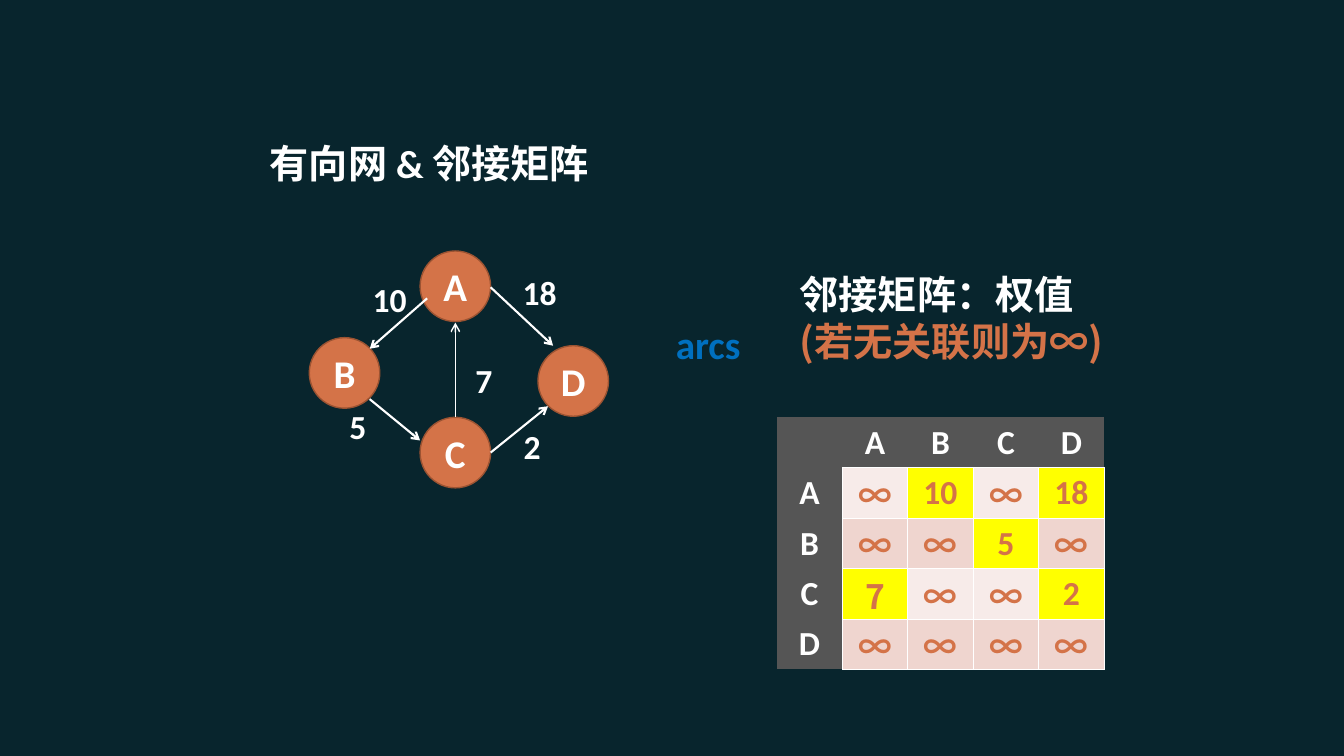
import lxml.etree
import pptx
import pptx.dml.color
import pptx.enum.shapes
import pptx.enum.text
import pptx.oxml.ns
import pptx.util

Inches = pptx.util.Inches
Pt = pptx.util.Pt
RGBColor = pptx.dml.color.RGBColor
qn = pptx.oxml.ns.qn
ALIGN = pptx.enum.text.PP_ALIGN

NIGHT = RGBColor(0x08, 0x25, 0x2D)
WHITE = RGBColor(0xFF, 0xFF, 0xFF)
ORANGE = RGBColor(0xD4, 0x73, 0x48)
BROWN = RGBColor(0x9B, 0x53, 0x32)
BLUE = RGBColor(0x00, 0x70, 0xC0)
GREY = RGBColor(0x55, 0x55, 0x55)
YELLOW = RGBColor(0xFF, 0xFF, 0x00)
PALE = RGBColor(0xF7, 0xEB, 0xE9)
PINK = RGBColor(0xEF, 0xD5, 0xCF)
LATIN = "Calibri"
CJK = "Noto Sans CJK SC"


def write(paragraph, text, size=24, color=WHITE, font=LATIN, align=ALIGN.LEFT, spacing=None):
    paragraph.alignment = align
    if spacing:
        paragraph.line_spacing = Pt(spacing)
    run = paragraph.add_run()
    run.text = text
    run.font.size = Pt(size)
    run.font.bold = True
    run.font.color.rgb = color
    run.font.name = font
    lxml.etree.SubElement(run.font._element, qn("a:ea"), typeface=font)


presentation = pptx.Presentation()
presentation.slide_width = Inches(13.34)
presentation.slide_height = Inches(7.5)
slide = presentation.slides.add_slide(presentation.slide_layouts[6])
slide.background.fill.solid()
slide.background.fill.fore_color.rgb = NIGHT

for name, left, top in [("B", 3.07, 3.35), ("A", 4.17, 2.49), ("C", 4.17, 4.14), ("D", 5.34, 3.43)]:
    vertex = slide.shapes.add_shape(
        pptx.enum.shapes.MSO_SHAPE.OVAL, Inches(left), Inches(top), Inches(0.7), Inches(0.7))
    vertex.shadow.inherit = False
    vertex.fill.solid()
    vertex.fill.fore_color.rgb = ORANGE
    vertex.line.color.rgb = BROWN
    vertex.line.width = Pt(1)
    vertex.text_frame.vertical_anchor = pptx.enum.text.MSO_ANCHOR.MIDDLE
    write(vertex.text_frame.paragraphs[0], name, size=28, align=ALIGN.CENTER)

arcs = [
    (4.87, 2.85, 5.49, 3.43, 1.5),
    (4.87, 4.49, 5.44, 4.03, 1.5),
    (3.67, 3.96, 4.17, 4.37, 1.5),
    (4.24, 2.96, 3.67, 3.46, 1.5),
    (4.52, 4.14, 4.52, 3.2, 1),
]
for x1, y1, x2, y2, weight in arcs:
    arc = slide.shapes.add_connector(
        pptx.enum.shapes.MSO_CONNECTOR.STRAIGHT, Inches(x1), Inches(y1), Inches(x2), Inches(y2))
    arc.line.color.rgb = WHITE
    arc.line.width = Pt(weight)
    lxml.etree.SubElement(arc.line._get_or_add_ln(), qn("a:tailEnd"), type="arrow")
    lxml.etree.SubElement(arc._element.spPr, qn("a:effectLst"))

labels = [
    ("10", 3.6, 2.72, 0.58, 0.5, 24, WHITE),
    ("5", 3.37, 3.98, 0.39, 0.5, 24, WHITE),
    ("18", 5.09, 2.65, 0.58, 0.5, 24, WHITE),
    ("2", 5.1, 4.18, 0.39, 0.5, 24, WHITE),
    ("7", 4.62, 3.52, 0.39, 0.5, 24, WHITE),
    ("有向网 & 邻接矩阵", 2.58, 1.33, 3.58, 0.57, 28, WHITE),
    ("arcs", 6.61, 3.13, 1, 0.57, 28, BLUE),
]
for text, left, top, width, height, size, color in labels:
    label = slide.shapes.add_textbox(Inches(left), Inches(top), Inches(width), Inches(height))
    label.text_frame.word_wrap = False
    write(label.text_frame.paragraphs[0], text, size=size, color=color)

explanation = slide.shapes.add_textbox(Inches(7.84), Inches(2.63), Inches(3.44), Inches(1.05))
explanation.text_frame.word_wrap = True
write(explanation.text_frame.paragraphs[0], "邻接矩阵：权值", size=28)
write(explanation.text_frame.add_paragraph(), "(若无关联则为∞)", size=28, color=ORANGE, font=CJK, spacing=34)

rows = [
    ["", "A", "B", "C", "D"],
    ["A", "∞", "10", "∞", "18"],
    ["B", "∞", "∞", "5", "∞"],
    ["C", "7", "∞", "∞", "2"],
    ["D", "∞", "∞", "∞", "∞"],
]
matrix = slide.shapes.add_table(5, 5, Inches(7.71), Inches(4.14), Inches(3.25), Inches(2.5)).table
matrix.first_row = False
matrix.horz_banding = False
for column in matrix.columns:
    column.width = Inches(0.65)
for row in matrix.rows:
    row.height = Inches(0.5)

for r, values in enumerate(rows):
    for c, value in enumerate(values):
        cell = matrix.cell(r, c)
        weight_cell = r > 0 and c > 0
        edges = {"a:lnL": weight_cell, "a:lnR": r > 0, "a:lnT": weight_cell, "a:lnB": c > 0}
        for tag, visible in edges.items():
            edge = lxml.etree.SubElement(cell._tc.get_or_add_tcPr(), qn(tag), w=str(Pt(0.45)))
            if visible:
                paint = lxml.etree.SubElement(edge, qn("a:solidFill"))
                lxml.etree.SubElement(paint, qn("a:srgbClr"), val=str(WHITE))
            else:
                lxml.etree.SubElement(edge, qn("a:noFill"))
        cell.fill.solid()
        if not weight_cell:
            cell.fill.fore_color.rgb = GREY
        elif value != "∞":
            cell.fill.fore_color.rgb = YELLOW
        else:
            cell.fill.fore_color.rgb = PALE if r % 2 else PINK
        low = value in ("∞", "7")
        cell.margin_top = Inches(0.11 if low else 0.05)
        cell.margin_bottom = Inches(0 if low else 0.04)
        if value:
            write(cell.text_frame.paragraphs[0], value, color=ORANGE if weight_cell else WHITE,
                  font=CJK if low else LATIN, align=ALIGN.CENTER, spacing=28 if low else None)

presentation.save("out.pptx")
